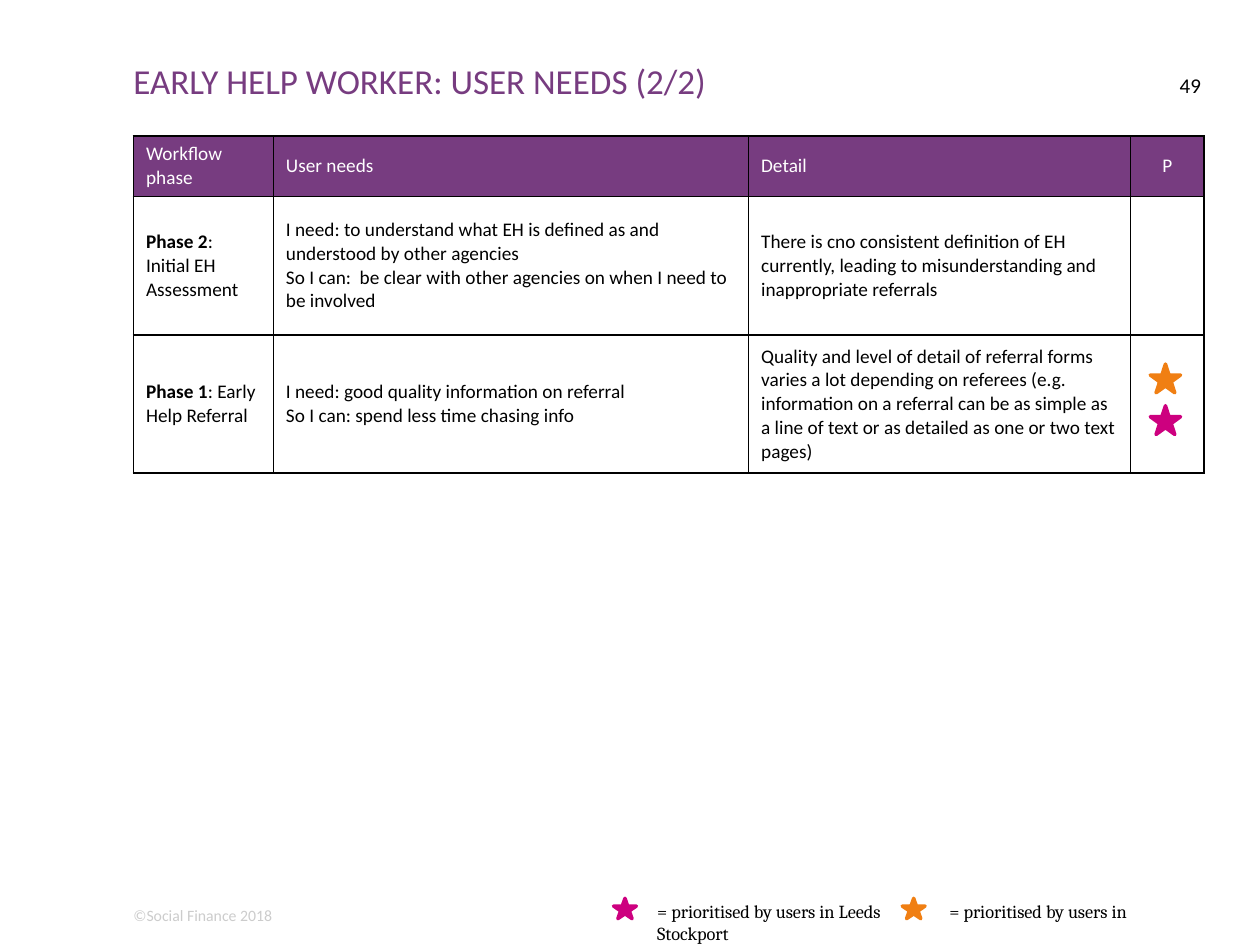
"""Build the early help worker user needs slide."""
import pptx
import pptx.dml.color
import pptx.enum.shapes
import pptx.enum.text
import pptx.oxml
import pptx.oxml.ns
import pptx.util

Cm, Pt = pptx.util.Cm, pptx.util.Pt
ALIGN = pptx.enum.text.PP_ALIGN
INK = {"purple": "773C80", "pink": "CD007F", "orange": "F07F13",
       "black": "000000", "white": "FFFFFF", "grey": "CCCCCC"}
HUE = {name: pptx.dml.color.RGBColor.from_string(code) for name, code in INK.items()}
NS = pptx.oxml.ns.nsdecls("a")


def write(para, text, ink, look):
    run = para.add_run()
    run.text = text
    for key, value in look.items():
        setattr(run.font, key, value)
    run.font.color.rgb = HUE[ink]


def label(place, text, ink, look, align=ALIGN.LEFT, inset=(0, 0)):
    frame = slide.shapes.add_textbox(*map(Cm, place)).text_frame
    side, edge = map(Cm, inset)
    form = {"word_wrap": True, "margin_left": side, "margin_right": side,
            "margin_top": edge, "margin_bottom": edge}
    for key, value in form.items():
        setattr(frame, key, value)
    para = frame.paragraphs[0]
    para.alignment = align
    return para, write(para, text, ink, look)


deck = pptx.Presentation()
deck.slide_width, deck.slide_height = Cm(25.4), Cm(19.05)
slide = deck.slides.add_slide(deck.slide_layouts[6])

left = 2.69
sans = {"name": "Calibri"}
label((left, 18.26, 21.44, 0.38), "©Social Finance 2018", "grey", {**sans, "size": Pt(9)})
label((left, 1.19, 20.27, 1.88), "EARLY HELP WORKER: USER NEEDS (2/2)", "purple",
      {**sans, "size": Pt(20)})
label((23.5, 1.47, 0.71, 1.02), "49", "black", {**sans, "size": Pt(12)}, ALIGN.RIGHT)

rows = [
    [[("", "Workflow phase")], [("", "User needs")], [("", "Detail")], [("", "P")]],
    [[("Phase 2", ": \vInitial EH Assessment")],
     [("", "I need: to understand what EH is defined as and understood by other agencies"),
      ("", "So I can:  be clear with other agencies on when I need to be involved")],
     [("", "There is cno consistent definition of EH currently, leading to "
           "misunderstanding and inappropriate referrals")],
     []],
    [[("Phase 1", ": Early Help Referral")],
     [("", "I need: good quality information on referral"),
      ("", "So I can: spend less time chasing info")],
     [("", "Quality and level of detail of referral forms varies a lot depending on "
           "referees (e.g. information on a referral can be as simple as a line of text "
           "or as detailed as one or two text pages)")],
     []],
]
wide, high = [2.82, 9.58, 7.7, 1.48], [1.22, 2.79, 2.79]
grid = slide.shapes.add_table(len(high), len(wide), Cm(left), Cm(2.74),
                              Cm(sum(wide)), Cm(sum(high))).table
for col, size in zip(grid.columns, wide):
    col.width = Cm(size)
for row, size in zip(grid.rows, high):
    row.height = Cm(size)

body = {**sans, "size": Pt(11)}
for r, row in enumerate(rows):
    for c, lines in enumerate(row):
        cell = grid.cell(r, c)
        cell.vertical_anchor = pptx.enum.text.MSO_ANCHOR.MIDDLE
        props = cell._tc.get_or_add_tcPr()
        for side in "LRTB":
            props.append(pptx.oxml.parse_xml(
                f'<a:ln{side} {NS} w="12700"><a:solidFill><a:srgbClr val="{INK["black"]}"/>'
                f'</a:solidFill></a:ln{side}>'))
        if r == 0:
            cell.fill.solid()
            cell.fill.fore_color.rgb = HUE["purple"]
        else:
            cell.fill.background()
        ink = "black" if r else "white"
        for n, (head, rest) in enumerate(lines):
            para = cell.text_frame.add_paragraph() if n else cell.text_frame.paragraphs[0]
            para.alignment = ALIGN.CENTER if c == 3 else ALIGN.LEFT
            if head:
                write(para, head, ink, {**body, "bold": True})
            for k, part in enumerate(rest.split("\v")):
                if k:
                    para.add_line_break()
                write(para, part, ink, {**body, "bold": False})

key, _ = label((13, 18.01, 11.48, 0.74),
               "= prioritised by users in Leeds\t= prioritised by users in Stockport",
               "black", {"name": "Cambria", "size": Pt(10.5)}, inset=(0.25, 0.13))
key._p.get_or_add_pPr().append(pptx.oxml.parse_xml(
    f'<a:tabLst {NS}><a:tab pos="{Cm(5.89)}" algn="l"/></a:tabLst>'))

small, large = (0.46, 0.41), (0.61, 0.58)
stars = [(12.37, 18.11, small, "pink"), (18.19, 18.11, small, "orange"),
         (23.19, 7.34, large, "orange"), (23.19, 8.18, large, "pink")]
for x, y, size, ink in stars:
    star = slide.shapes.add_shape(pptx.enum.shapes.MSO_SHAPE.STAR_5_POINT,
                                  *map(Cm, (x, y, *size)))
    star.shadow.inherit = False
    star.fill.solid()
    star.fill.fore_color.rgb = HUE[ink]
    star.line.color.rgb = HUE[ink]
    star.line.width = Pt(2)

deck.save("out.pptx")
